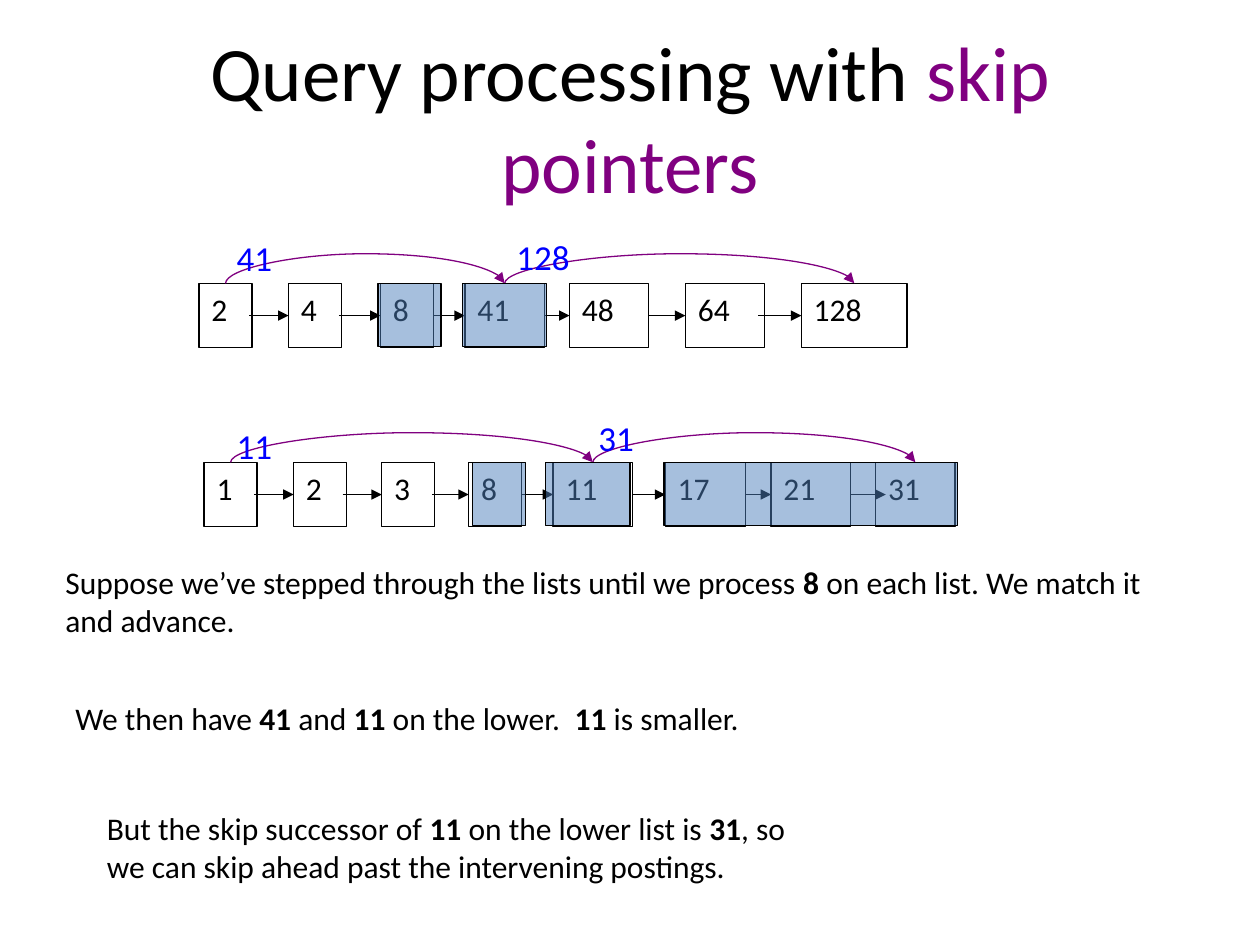
"""Build the slide on query processing with skip pointers."""
from dataclasses import dataclass

from lxml import etree
from pptx import Presentation
from pptx import util as u
from pptx.dml.color import RGBColor
from pptx.enum import shapes, text
from pptx.oxml.ns import qn


@dataclass(frozen=True)
class Theme:
    font: str = "Calibri"
    ink: str = "000000"
    accent: str = "800080"
    label: str = "0000FF"
    highlight: str = "4F81BD"
    title_size: int = 44
    label_size: int = 20
    body_size: int = 18
    line_width: float = 0.75


THEME = Theme()
BOX_HEIGHT = 0.51
SKIP_RISE = 0.25


def write(frame, content, size=THEME.body_size, color=THEME.ink, strong_color=None,
          align=text.PP_ALIGN.LEFT, anchor=text.MSO_ANCHOR.TOP):
    """Write lines into a frame, stressing the parts between asterisks."""
    frame.word_wrap = True
    frame.vertical_anchor = anchor
    for index, line in enumerate(content.split("\n")):
        paragraph = frame.add_paragraph() if index else frame.paragraphs[0]
        paragraph.alignment = align
        for position, part in enumerate(line.split("*")):
            if not part:
                continue
            strong = position % 2 == 1
            run = paragraph.add_run()
            run.text = part
            run.font.name = THEME.font
            run.font.size = u.Pt(size)
            run.font.bold = strong and strong_color is None
            run.font.color.rgb = RGBColor.from_string(
                strong_color if strong and strong_color else color)


class SlideBuilder:
    """Hold the theme and the current slide."""

    def __init__(self, slide, theme):
        self.slide = slide
        self.theme = theme

    def title(self, content, left, top, width, height):
        """Place and fill the title placeholder."""
        title = self.slide.shapes.title
        title.left, title.top = u.Inches(left), u.Inches(top)
        title.width, title.height = u.Inches(width), u.Inches(height)
        write(title.text_frame, content, size=self.theme.title_size,
              strong_color=self.theme.accent, align=text.PP_ALIGN.CENTER,
              anchor=text.MSO_ANCHOR.MIDDLE)

    def text(self, content, left, top, width, height, **style):
        """Add a text box."""
        box = self.slide.shapes.add_textbox(
            u.Inches(left), u.Inches(top), u.Inches(width), u.Inches(height))
        write(box.text_frame, content, **style)

    def rectangle(self, left, top, width, height):
        """Add an outlined rectangle without a fill."""
        shape = self.slide.shapes.add_shape(
            shapes.MSO_SHAPE.RECTANGLE,
            u.Inches(left), u.Inches(top), u.Inches(width), u.Inches(height))
        shape.shadow.inherit = False
        shape.fill.background()
        shape.line.color.rgb = RGBColor.from_string(self.theme.ink)
        shape.line.width = u.Pt(self.theme.line_width)
        return shape

    def posting(self, content, left, top, width):
        """Add one box of a postings list."""
        shape = self.rectangle(left, top, width, BOX_HEIGHT)
        write(shape.text_frame, content)
        return shape

    def highlight(self, left, top, width):
        """Add a half-transparent highlight."""
        shape = self.rectangle(left, top, width, 0.5)
        shape.fill.solid()
        shape.fill.fore_color.rgb = RGBColor.from_string(self.theme.highlight)
        color = shape._element.spPr.find(qn("a:solidFill"))[0]
        etree.SubElement(color, qn("a:alpha"), val="50000")

    def connector(self, kind, begin, end, color):
        """Add a connector with an arrowhead at its end."""
        connector = self.slide.shapes.add_connector(kind, *begin, *end)
        connector.line.color.rgb = RGBColor.from_string(color)
        connector.line.width = u.Pt(self.theme.line_width)
        etree.SubElement(connector.line._get_or_add_ln(), qn("a:tailEnd"), type="triangle")
        etree.SubElement(connector._element.spPr, qn("a:effectLst"))
        return connector

    def arrow(self, source, target, overlap=0, reach=0):
        """Link two boxes, overlapping the source or reaching into the target."""
        middle = source.top + source.height // 2
        arrow = self.connector(
            shapes.MSO_CONNECTOR.STRAIGHT,
            (source.left + source.width - u.Inches(overlap), middle),
            (target.left + u.Inches(reach), middle), self.theme.ink)
        if not overlap:
            arrow.begin_connect(source, 3)
        if not reach:
            arrow.end_connect(target, 1)

    def skip(self, source, target):
        """Arch a skip pointer from the top of one box to the top of another."""
        start, stop = (box.left + box.width // 2 for box in (source, target))
        center, half = (start + stop) // 2, (stop - start) // 2
        thin = u.Pt(0.12)
        curve = self.connector(
            shapes.MSO_CONNECTOR.CURVE,
            (center + thin // 2, source.top + half),
            (center - thin // 2, source.top - half), self.theme.accent)
        properties = curve._element.spPr
        properties.find(qn("a:xfrm")).set("rot", "5400000")
        geometry = properties.find(qn("a:prstGeom"))
        guides = geometry.find(qn("a:avLst"))
        if guides is None:
            guides = etree.SubElement(geometry, qn("a:avLst"))
        ratio = round(u.Inches(SKIP_RISE) / curve.width * 100000)
        etree.SubElement(guides, qn("a:gd"), name="adj1", fmla=f"val {ratio}")

    def postings_list(self, top, entries, stops, last_reach=0):
        """Add a row of (text, left, width, arrow overlap) boxes with its pointers."""
        boxes = [self.posting(content, left, top, width)
                 for content, left, width, _ in entries]
        for index, (source, target) in enumerate(zip(boxes, boxes[1:])):
            reach = last_reach if target is boxes[-1] else 0
            self.arrow(source, target, entries[index][3], reach)
        for source, target in zip(stops, stops[1:]):
            self.skip(boxes[source], boxes[target])


def main():
    """Build and save the presentation."""
    presentation = Presentation()
    presentation.slide_width, presentation.slide_height = u.Inches(10), u.Inches(7.5)
    slide = presentation.slides.add_slide(presentation.slide_layouts[5])
    builder = SlideBuilder(slide, THEME)
    builder.title("Query processing with *skip pointers*", 0.5, 0.3, 9, 1.25)

    upper, lower = 2.25, 3.67
    builder.postings_list(upper, [
        ("2", 1.58, 0.42, 0.02), ("4", 2.29, 0.42, 0.02), ("8", 3.02, 0.42, 0),
        ("41", 3.69, 0.63, 0), ("48", 4.52, 0.63, 0), ("64", 5.44, 0.63, 0.05),
        ("128", 6.36, 0.84, 0)], stops=(0, 3, 6))
    builder.postings_list(lower, [
        ("1", 1.62, 0.42, 0.02), ("2", 2.33, 0.42, 0.03), ("3", 3.03, 0.42, 0.02),
        ("8", 3.72, 0.42, 0), ("11", 4.39, 0.63, 0), ("17", 5.28, 0.64, 0),
        ("21", 6.12, 0.63, 0), ("31", 6.95, 0.63, 0)], stops=(0, 4, 7), last_reach=0.08)

    for content, left, top, width in (
            ("41", 1.78, 1.83, 0.56), ("128", 4, 1.82, 0.73),
            ("11", 1.78, 3.32, 0.56), ("31", 4.65, 3.26, 0.55)):
        builder.text(content, left, top, width, 0.44,
                     size=THEME.label_size, color=THEME.label)

    for left, top, width in (
            (3.75, lower, 0.42), (3, upper, 0.5), (3.67, upper, 0.67),
            (5.27, lower, 2.33), (4.33, lower, 0.67)):
        builder.highlight(left, top, width)

    builder.text("Suppose we’ve stepped through the lists until we process *8 *"
                 "on each list. We match it and advance.", 0.42, 4.42, 9.08, 0.91)
    builder.text("We then have *41* and *11* on the lower.  *11* is smaller.",
                 0.5, 5.5, 8.94, 0.51)
    builder.text("But the skip successor of *11* on the lower list is *31*, so\n"
                 "we can skip ahead past the intervening postings.",
                 0.75, 6.37, 9.07, 0.91)
    presentation.save("out.pptx")


if __name__ == "__main__":
    main()
